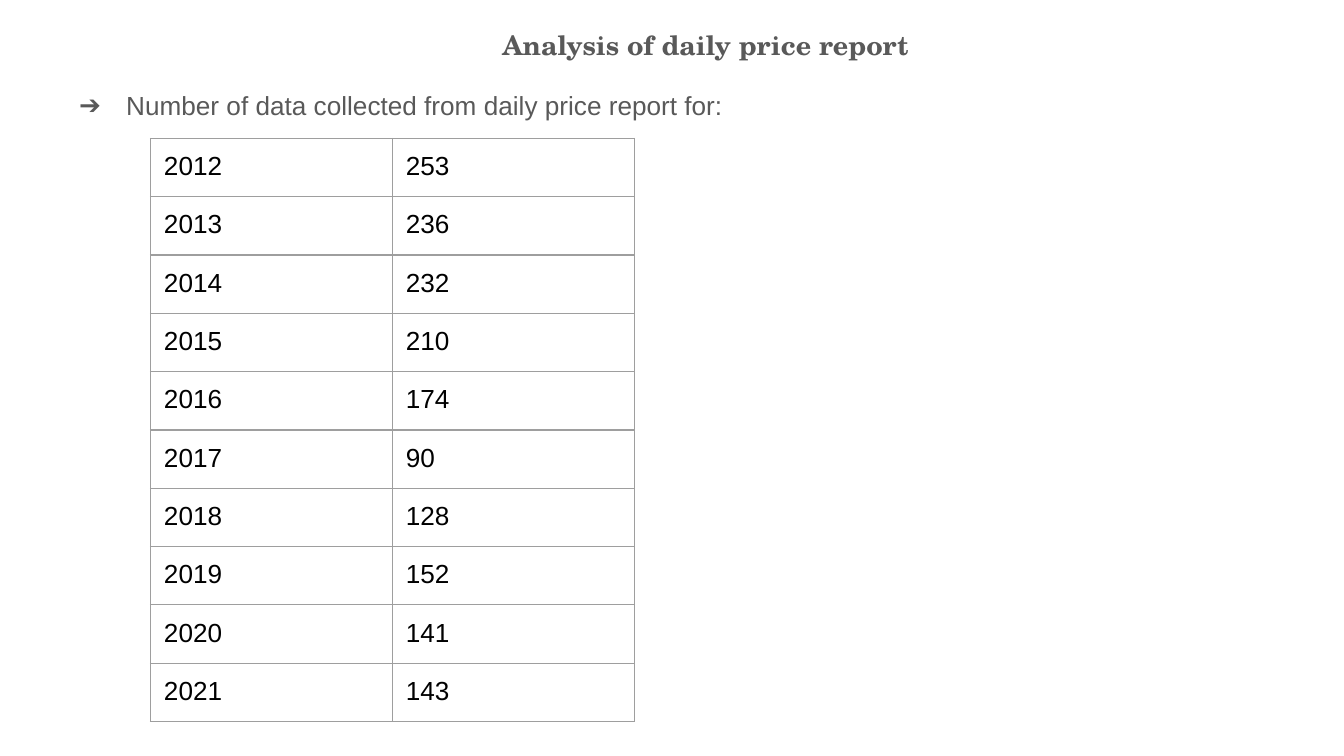
from lxml import etree
from pptx import Presentation
from pptx.dml.color import RGBColor
from pptx.enum.text import MSO_ANCHOR, PP_ALIGN
from pptx.oxml.ns import qn
from pptx.util import Inches, Pt

LEFT, CENTER = PP_ALIGN.LEFT, PP_ALIGN.CENTER
TOP = MSO_ANCHOR.TOP
GRAY, BLACK, BORDER = "595959", "000000", "9E9E9E"
TITLE_FONT, BODY_FONT = "TeX Gyre Schola", "Arial"
SLIDE_WIDTH = Inches(10)
PADDING = Inches(0.1)
INSETS = {f"margin_{side}": PADDING for side in ("left", "top", "right", "bottom")}

PRICE_COUNTS = {
    "2012": 253, "2013": 236, "2014": 232, "2015": 210, "2016": 174,
    "2017": 90, "2018": 128, "2019": 152, "2020": 141, "2021": 143,
}


def rgb(color):
    return RGBColor.from_string(color)


def apply(target, values):
    for name, value in values.items():
        setattr(target, name, value)


def write(paragraph, text, size, color, font=BODY_FONT, bold=False):
    run = paragraph.add_run()
    run.text = text
    apply(run.font, {"size": Pt(size), "name": font, "bold": bold})
    run.font.color.rgb = rgb(color)


def add_paragraph_box(slide, box, align, indent, space_after=0):
    """Add a text box and return its only paragraph."""
    frame = slide.shapes.add_textbox(*map(Inches, box)).text_frame
    apply(frame, {**INSETS, "word_wrap": True, "vertical_anchor": TOP})
    paragraph = frame.paragraphs[0]
    apply(paragraph, {"alignment": align, "line_spacing": 1.15,
                      "space_after": Pt(space_after)})
    properties = paragraph._p.get_or_add_pPr()
    properties.set("marL", str(Inches(0.5)))
    properties.set("indent", str(Inches(indent)))
    return paragraph


def add_title(slide, box):
    paragraph = add_paragraph_box(slide, box, CENTER, 0, space_after=12)
    write(paragraph, "Analysis of daily price report", 14.4, GRAY, TITLE_FONT, True)


def add_lead(slide, box):
    paragraph = add_paragraph_box(slide, box, LEFT, -0.35)
    properties = paragraph._p.get_or_add_pPr()
    bullet_color = etree.SubElement(properties, qn("a:buClr"))
    etree.SubElement(bullet_color, qn("a:srgbClr"), val=GRAY)
    etree.SubElement(properties, qn("a:buFont"), typeface=BODY_FONT)
    etree.SubElement(properties, qn("a:buChar"), char="➔")
    write(paragraph, "Number of data collected from daily price report for:", 14, GRAY)


def add_borders(cell):
    properties = cell._tc.get_or_add_tcPr()
    for side in ("lnL", "lnR", "lnT", "lnB"):
        line = etree.SubElement(properties, qn(f"a:{side}"), w=str(Pt(0.75)))
        fill = etree.SubElement(line, qn("a:solidFill"))
        etree.SubElement(fill, qn("a:srgbClr"), val=BORDER)


def add_count_table(slide, box):
    """Add the table; its rows grow to fit their text."""
    frame = slide.shapes.add_table(len(PRICE_COUNTS), 2, *map(Inches, box))
    table = frame.table
    apply(table, {"first_row": False, "horz_banding": False})
    for row, record in enumerate(PRICE_COUNTS.items()):
        for column, value in enumerate(record):
            cell = table.cell(row, column)
            apply(cell, {**INSETS, "vertical_anchor": TOP})
            add_borders(cell)
            cell.fill.background()
            write(cell.text_frame.paragraphs[0], str(value), 14, BLACK)


def main():
    presentation = Presentation()
    apply(presentation, {"slide_width": SLIDE_WIDTH,
                         "slide_height": SLIDE_WIDTH * 9 // 16})
    slide = presentation.slides.add_slide(presentation.slide_layouts[6])
    add_title(slide, (0.34, 0.08, 9.32, 0.46))
    add_lead(slide, (0.34, 0.53, 9.32, 4.46))
    add_count_table(slide, (1.12, 1.03, 3.6, 3.1))
    presentation.save("out.pptx")


if __name__ == "__main__":
    main()
